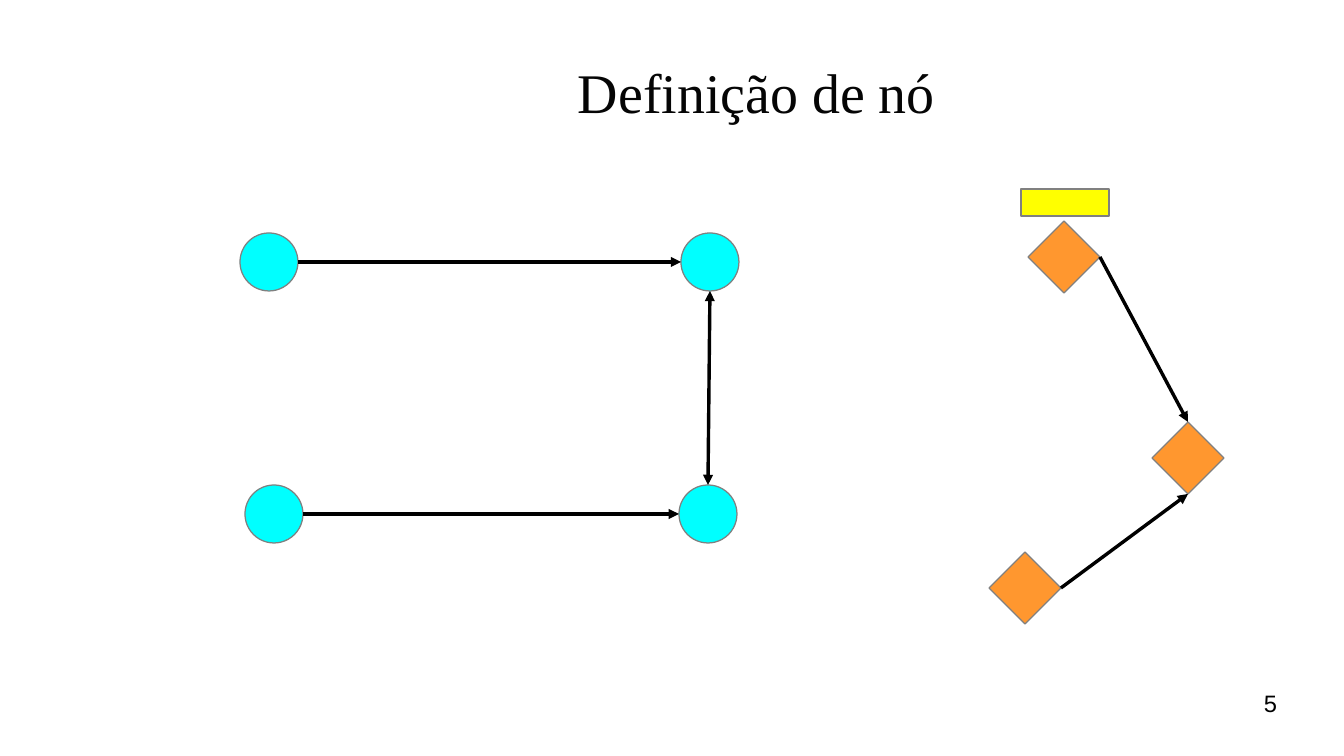
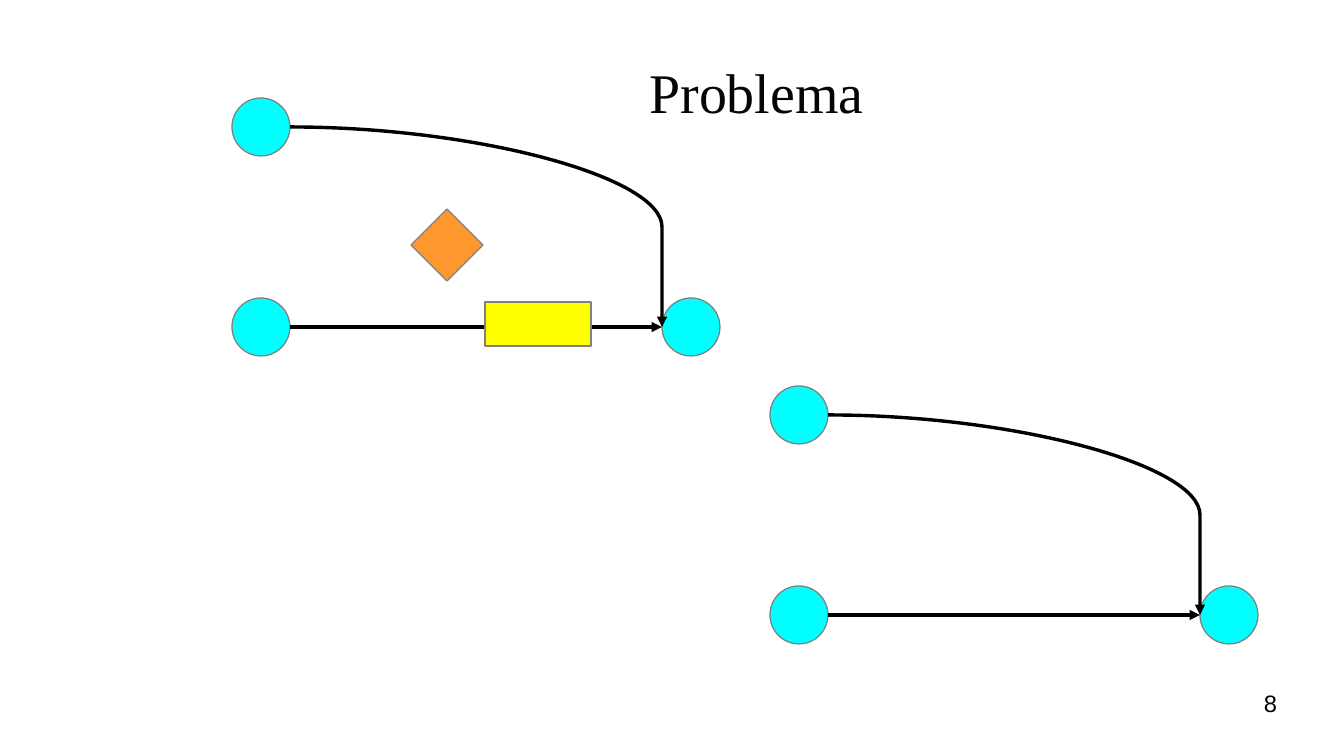
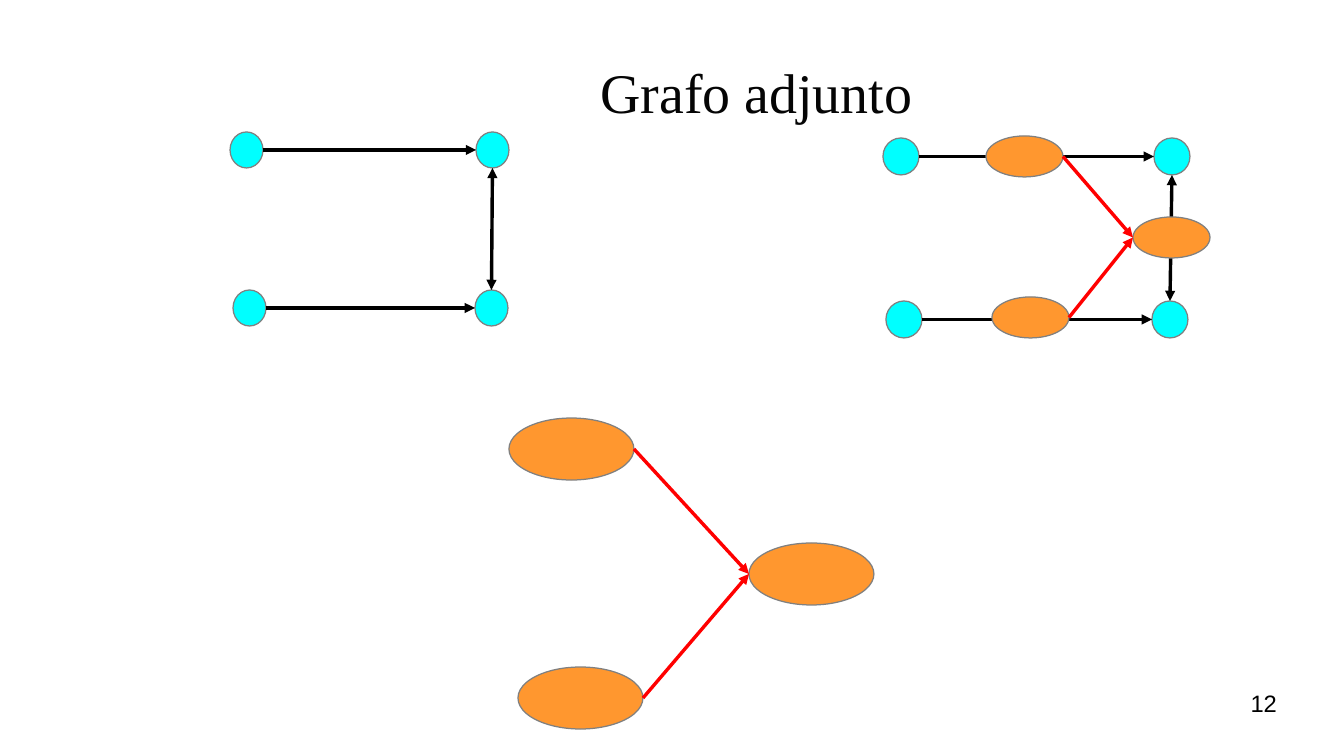
"""Builds three slides on graph nodes: definition, problem and adjoint graph."""
from lxml import etree
from pptx import Presentation
from pptx import util as u
from pptx.dml.color import RGBColor
from pptx.enum import shapes, text
from pptx.oxml import ns

PX = 914400 / 122
SLIDE = (1344, 756)
TITLE_BOX = (216, 29, 1081, 124)
NUMBER_BOX = (964, 689, 313, 52)

CYAN = RGBColor(0x00, 0xFF, 0xFF)
ORANGE = RGBColor(0xFF, 0x97, 0x2F)
YELLOW = RGBColor(0xFF, 0xFF, 0x00)
GRAY = RGBColor(0x80, 0x80, 0x80)
BLACK = RGBColor(0x00, 0x00, 0x00)
INK = RGBColor(0x05, 0x05, 0x05)
RED = RGBColor(0xFF, 0x00, 0x00)

TITLE_FONT = {"name": "Times New Roman", "size": u.Pt(33)}
NUMBER_FONT = {"name": "Arial", "size": u.Pt(14)}
FRAME = {"margin_left": 0, "margin_top": 0, "margin_right": 0, "margin_bottom": 0,
         "word_wrap": True, "auto_size": text.MSO_AUTO_SIZE.NONE}

OVAL = shapes.MSO_SHAPE.OVAL
DIAMOND = shapes.MSO_SHAPE.DIAMOND
BAR = shapes.MSO_SHAPE.RECTANGLE
KINDS = {
    "node": (OVAL, CYAN, BLACK),
    "arc": (OVAL, ORANGE, RED),
    "choice": (DIAMOND, ORANGE, BLACK),
    "bar": (BAR, YELLOW, BLACK),
}
SIDES = {"left": (0, 0.5), "right": (1, 0.5), "top": (0.5, 0), "bottom": (0.5, 1)}

SQUARE = [(0, "right", 1, "left", "line"), (2, "right", 3, "left", "line"),
          (3, "top", 1, "bottom", "both")]
MERGE = [(0, "right", 2, "left", "curve"), (1, "right", 2, "left", "line")]
FORK = [(0, "right", 1, "left", "line"), (2, "right", 1, "left", "line")]
DIAMOND_FORK = [(0, "right", 1, "top", "line"), (2, "right", 1, "bottom", "line")]

MERGE_CORNERS = [(232, 98), (232, 298), (662, 298)]
MERGE_SHIFT = (538, 288)

CONTENT = [
    ("Definição de nó", "5", [
        ("node", (58, 58), [(240, 233), (681, 233), (245, 485), (679, 485)], SQUARE),
        ("choice", (72, 72), [(1028, 221), (1152, 422), (989, 552)], DIAMOND_FORK),
        ("bar", (88, 27), [(1021, 189)], []),
    ]),
    ("Problema", "8", [
        ("node", (58, 58), MERGE_CORNERS, MERGE),
        ("bar", (106, 44), [(485, 302)], []),
        ("choice", (72, 72), [(411, 209)], []),
        ("node", (58, 58),
         [(x + MERGE_SHIFT[0], y + MERGE_SHIFT[1]) for x, y in MERGE_CORNERS], MERGE),
    ]),
    ("Grafo adjunto", "12", [
        ("node", (33, 36), [(230, 132), (476, 132), (233, 290), (475, 290)], SQUARE),
        ("node", (36, 37), [(883, 138), (1154, 138), (886, 301), (1152, 301)], SQUARE),
        ("arc", (77, 41), [(986, 136), (1133, 217), (992, 297)], FORK),
        ("arc", (125, 62), [(509, 418), (749, 543), (518, 667)], FORK),
    ]),
]


def emu(lengths):
    return [u.Emu(round(length * PX)) for length in lengths]


def assign(target, values):
    for name, value in values.items():
        setattr(target, name, value)


def write(box, words, font, color, align, anchor):
    frame = box.text_frame
    assign(frame, {**FRAME, "vertical_anchor": anchor})
    paragraph = frame.paragraphs[0]
    paragraph.alignment = align
    run = paragraph.add_run()
    run.text = words
    assign(run.font, font)
    run.font.color.rgb = color


def add_vertex(slide, kind, corner, size):
    preset, fill, _ = KINDS[kind]
    vertex = slide.shapes.add_shape(preset, *emu(corner + size))
    vertex.shadow.inherit = False
    vertex.fill.solid()
    vertex.fill.fore_color.rgb = fill
    vertex.line.color.rgb = GRAY
    vertex.line.width = 0


def side_point(corner, size, side):
    return [c + s * share for c, s, share in zip(corner, size, SIDES[side])]


def add_edge(slide, start, end, style, color):
    curved = style == "curve"
    route = shapes.MSO_CONNECTOR.CURVE if curved else shapes.MSO_CONNECTOR.STRAIGHT
    edge = slide.shapes.add_connector(route, *emu(start + end))
    edge.line.color.rgb = color
    edge.line.width = 0
    properties = edge._element.spPr
    outline = properties.find(ns.qn("a:ln"))
    for tip in ("a:headEnd", "a:tailEnd") if style == "both" else ("a:tailEnd",):
        etree.SubElement(outline, ns.qn(tip), type="triangle")
    etree.SubElement(properties, ns.qn("a:effectLst"))
    if curved:
        adjustments = properties.find(ns.qn("a:prstGeom")).find(ns.qn("a:avLst"))
        etree.SubElement(adjustments, ns.qn("a:gd"), name="adj1", fmla="val 100000")


def add_graph(slide, kind, size, corners, edges):
    for corner in corners:
        add_vertex(slide, kind, corner, size)
    for first, first_side, last, last_side, style in edges:
        add_edge(slide, side_point(corners[first], size, first_side),
                 side_point(corners[last], size, last_side), style, KINDS[kind][2])


def main():
    deck = Presentation()
    deck.slide_width, deck.slide_height = emu(SLIDE)
    for heading, number, graphs in CONTENT:
        slide = deck.slides.add_slide(deck.slide_layouts[5])
        title = slide.shapes.title
        assign(title, dict(zip(("left", "top", "width", "height"), emu(TITLE_BOX))))
        write(title, heading, TITLE_FONT, INK, text.PP_ALIGN.CENTER, text.MSO_ANCHOR.MIDDLE)
        for graph in graphs:
            add_graph(slide, *graph)
        page = slide.shapes.add_textbox(*emu(NUMBER_BOX))
        write(page, number, NUMBER_FONT, BLACK, text.PP_ALIGN.RIGHT, text.MSO_ANCHOR.TOP)
    deck.save("out.pptx")


if __name__ == "__main__":
    main()
